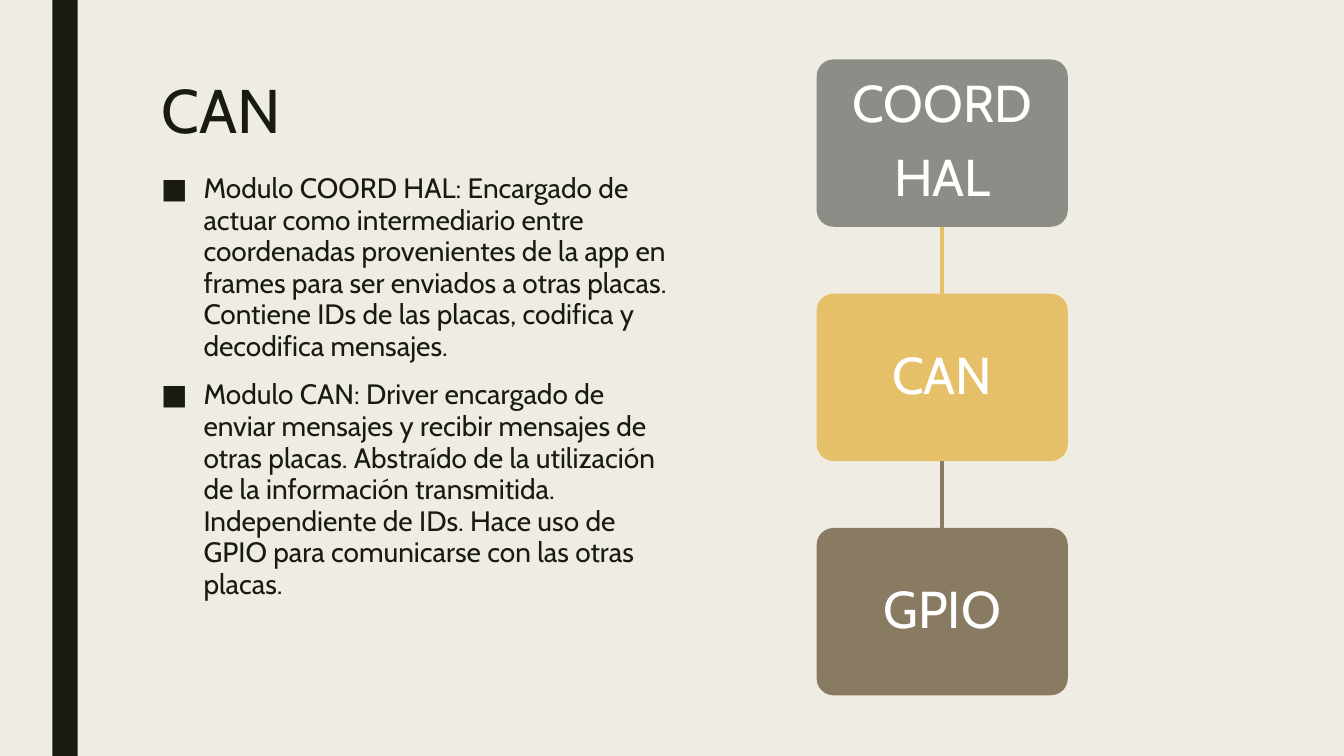
from dataclasses import dataclass
from lxml.etree import SubElement
from pptx import Presentation
from pptx.dml.color import RGBColor
from pptx.enum.shapes import MSO_CONNECTOR, MSO_SHAPE
from pptx.enum.text import MSO_ANCHOR, PP_ALIGN
from pptx.oxml.ns import qn
from pptx.util import Inches, Pt

# Content
TITLE = "CAN"
MODULES = [
    "Modulo COORD HAL: Encargado de actuar como intermediario entre coordenadas "
    "provenientes de la app en frames para ser enviados a otras placas. "
    "Contiene IDs de las placas, codifica y decodifica mensajes.",
    "Modulo CAN: Driver encargado de enviar mensajes y recibir mensajes de otras "
    "placas. Abstraído de la utilización de la información transmitida. "
    "Independiente de IDs. Hace uso de GPIO para comunicarse con las otras placas.",
]
LAYERS = [(["COORD", "HAL"], "8C8D86"), (["CAN"], "E6C069"), (["GPIO"], "897B61")]


@dataclass(frozen=True)
class Theme:
    font: str = "Cabin"
    paper: str = "EFEDE3"
    ink: str = "191B0E"
    light: str = "FFFFFF"
    title_size: int = 44
    body_size: int = 20
    layer_size: int = 37
    link_width: float = 2.75


THEME = Theme()

# Layout in inches
WIDTH, HEIGHT = 13.33, 7.5
MARGIN = 1.5
LAYER_LEFT, LAYER_TOP = 8.1, 0.59
LAYER_WIDTH, LAYER_HEIGHT = 2.49, 1.66
LAYER_STEP = LAYER_HEIGHT * 1.4


def color(code):
    return RGBColor.from_string(code)


def add_bullet(para, indent):
    properties = para._p.get_or_add_pPr()
    properties.set("marL", str(Inches(indent)))
    properties.set("indent", str(-Inches(indent)))
    SubElement(properties, qn("a:buFont"), typeface=THEME.font)
    SubElement(properties, qn("a:buChar"), char="■")


def write(shape, lines, *, size, ink=THEME.ink, spacing=1.0, before=0, after=0,
          align=PP_ALIGN.LEFT, anchor=MSO_ANCHOR.TOP, inset=None, bullet_indent=None):
    frame = shape.text_frame
    frame.word_wrap = True
    frame.vertical_anchor = anchor
    if inset is not None:
        frame.margin_left = frame.margin_right = Inches(inset)
        frame.margin_top = frame.margin_bottom = Inches(inset)
    for index, line in enumerate(lines):
        para = frame.add_paragraph() if index else frame.paragraphs[0]
        para.alignment = align
        para.line_spacing = spacing
        para.space_before, para.space_after = Pt(before), Pt(after)
        if bullet_indent:
            add_bullet(para, bullet_indent)
        span = para.add_run()
        span.text = line
        span.font.name, span.font.size = THEME.font, Pt(size)
        span.font.color.rgb = color(ink)


def add_block(page, kind, left, top, width, height, fill):
    block = page.shapes.add_shape(kind, *map(Inches, (left, top, width, height)))
    block.shadow.inherit = False
    block.fill.solid()
    block.fill.fore_color.rgb = color(fill)
    block.line.fill.background()
    return block


def add_link(page, x, top, bottom, stroke):
    link = page.shapes.add_connector(
        MSO_CONNECTOR.STRAIGHT, *map(Inches, (x, top, x, bottom)))
    link.line.color.rgb = color(stroke)
    link.line.width = Pt(THEME.link_width)
    SubElement(link._element.spPr, qn("a:effectLst"))


def main():
    deck = Presentation()
    deck.slide_width, deck.slide_height = Inches(WIDTH), Inches(HEIGHT)
    page = deck.slides.add_slide(deck.slide_layouts[6])
    page.background.fill.solid()
    page.background.fill.fore_color.rgb = color(THEME.paper)

    # Side band
    add_block(page, MSO_SHAPE.RECTANGLE, 0.52, 0, 0.25, HEIGHT, THEME.ink)

    # Title and module descriptions
    title = page.shapes.add_textbox(*map(Inches, (MARGIN, 0.75, 10.5, 1.62)))
    write(title, [TITLE], size=THEME.title_size, spacing=0.89)
    body = page.shapes.add_textbox(*map(Inches, (MARGIN, 1.67, 5.31, 4.74)))
    write(body, MODULES, size=THEME.body_size, spacing=0.94, before=10, after=2,
          bullet_indent=0.42)

    # Layer stack, each layer linked to the one above in its own colour
    for row, (lines, fill) in enumerate(LAYERS):
        top = LAYER_TOP + row * LAYER_STEP
        if row:
            above = LAYERS[row - 1][1] if row > len(LAYERS) else fill
            add_link(page, LAYER_LEFT + LAYER_WIDTH / 2,
                     top - LAYER_STEP + LAYER_HEIGHT, top, above)
        layer = add_block(page, MSO_SHAPE.ROUNDED_RECTANGLE, LAYER_LEFT, top,
                          LAYER_WIDTH, LAYER_HEIGHT, fill)
        layer.adjustments[0] = 0.1
        write(layer, lines, size=THEME.layer_size, ink=THEME.light, spacing=0.9,
              after=13, align=PP_ALIGN.CENTER, anchor=MSO_ANCHOR.MIDDLE, inset=0.19)

    deck.save("out.pptx")


if __name__ == "__main__":
    main()
